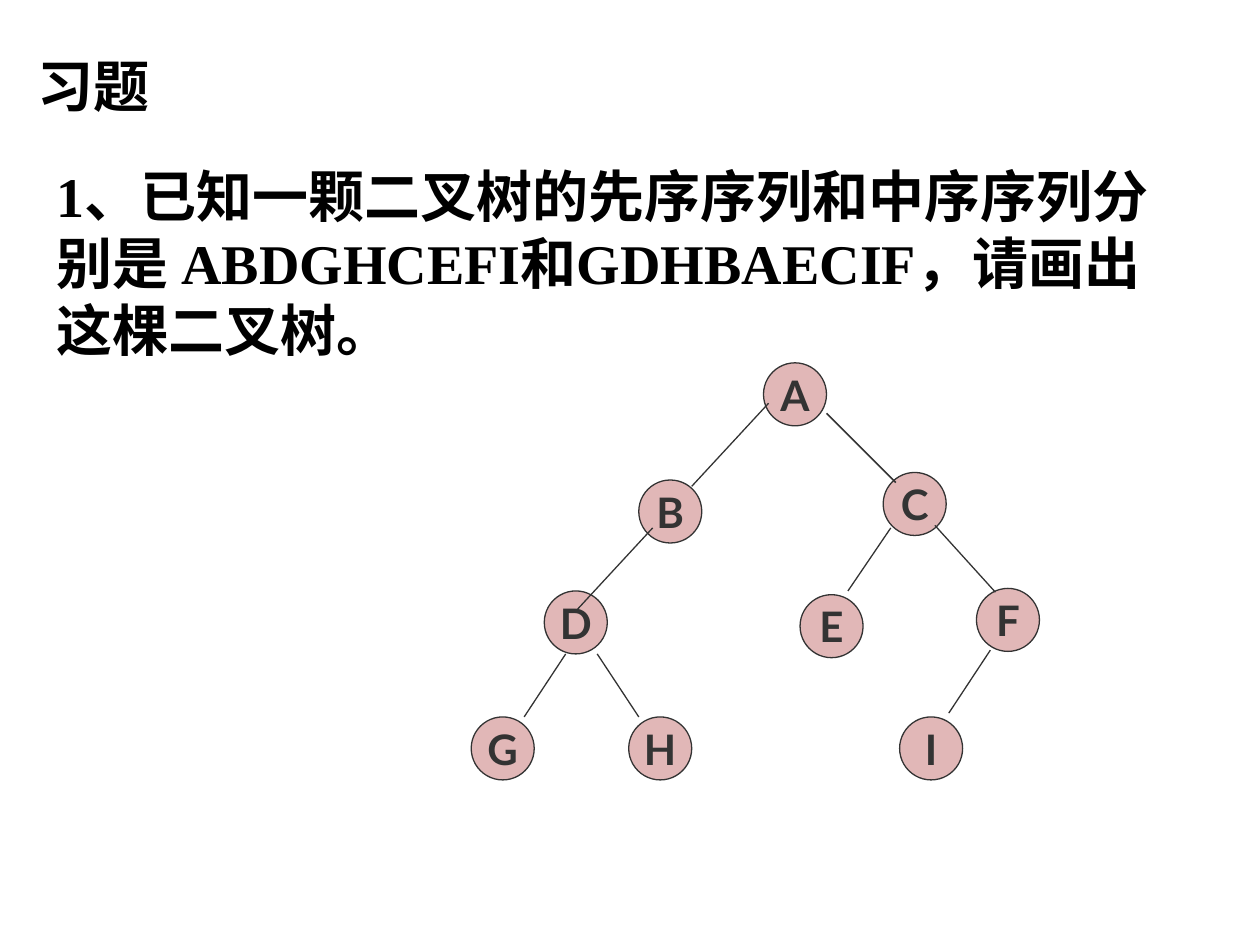
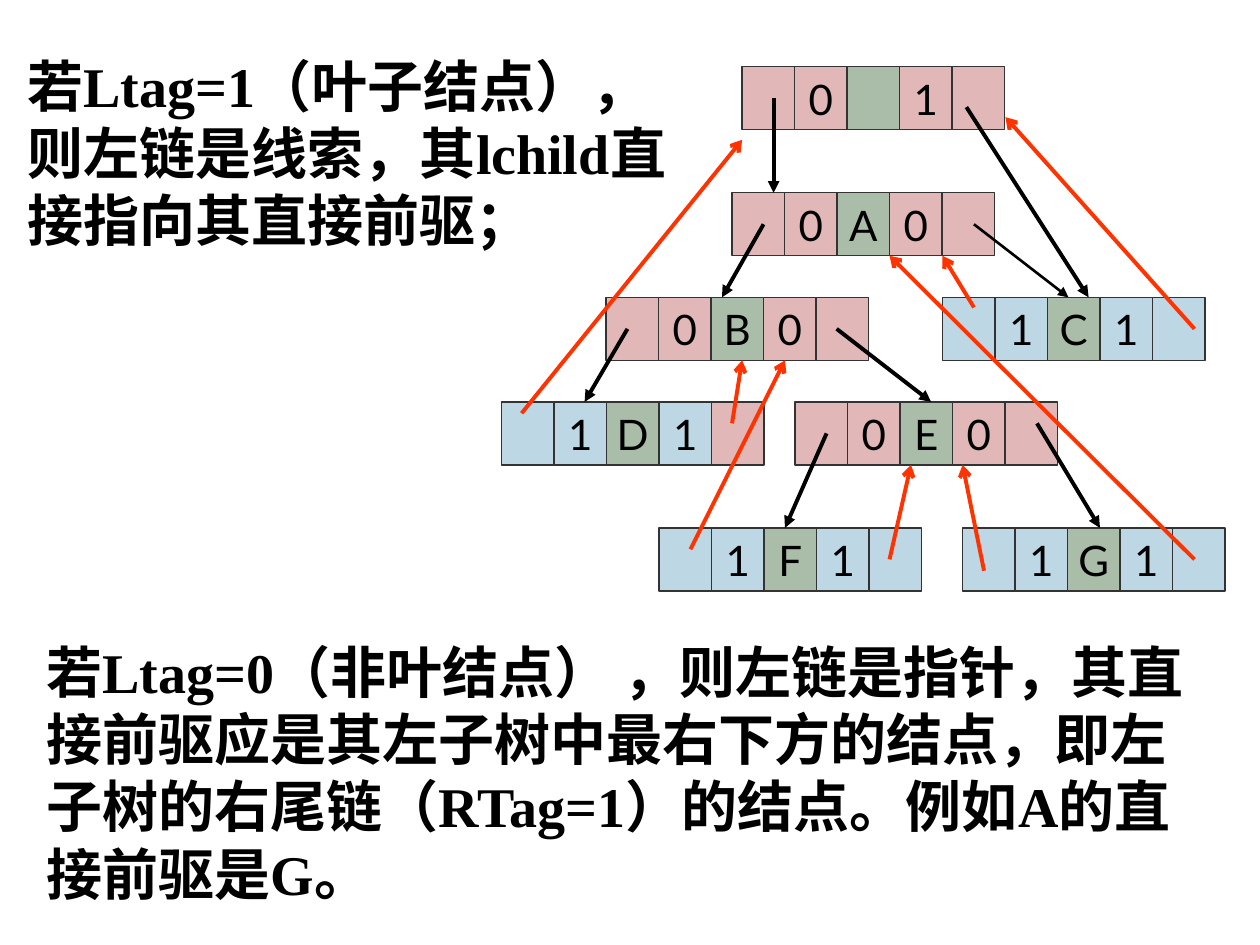
from lxml import etree
from pptx import Presentation
from pptx.dml.color import RGBColor
from pptx.enum.shapes import MSO_CONNECTOR, MSO_SHAPE
from pptx.enum.text import MSO_ANCHOR, PP_ALIGN
from pptx.oxml.ns import qn
from pptx.util import Inches, Pt

LINE = MSO_CONNECTOR.STRAIGHT
OVAL, RECT = MSO_SHAPE.OVAL, MSO_SHAPE.RECTANGLE
MIDDLE, CENTER = MSO_ANCHOR.MIDDLE, PP_ALIGN.CENTER

BLACK = RGBColor(0x00, 0x00, 0x00)
GRAY = RGBColor(0x33, 0x33, 0x33)
PINK = RGBColor(0xE1, 0xB7, 0xB7)
GREEN = RGBColor(0xA9, 0xBD, 0xA9)
BLUE = RGBColor(0xBD, 0xD7, 0xE5)
RED = RGBColor(0xFF, 0x33, 0x00)
SERIF, SANS = "Times New Roman", "Lato"

# Slide 1: left, top, width, height, words, wrap
TITLE = (0.2, 0.36, 1.09, 0.63, "习题", False)
TASK = (0.35, 1.23, 9.21, 1.72,
        "1、已知一颗二叉树的先序序列和中序序列分别是 ABDGHCEFI和GDHBAECIF，请画出这棵二叉树。", True)
DOT = 0.5
NODES = {  # name: left, top
    "A": (6.06, 2.88), "B": (5.07, 3.81), "C": (7.01, 3.75),
    "D": (4.32, 4.69), "E": (6.35, 4.72), "F": (7.75, 4.67),
    "G": (3.74, 5.69), "H": (4.99, 5.69), "I": (7.14, 5.69),
}
EDGES = [  # start x, y, end x, y, weight
    (6.1, 3.2, 5.49, 3.86, 0.75),
    (6.56, 3.28, 7.11, 3.83, 1),
    (5.18, 4.19, 4.57, 4.85, 0.75),
    (7.07, 4.19, 6.73, 4.69, 0.75),
    (7.42, 4.17, 7.9, 4.7, 0.75),
    (4.49, 5.19, 4.16, 5.69, 0.75),
    (4.74, 5.19, 5.07, 5.69, 0.75),
    (7.86, 5.16, 7.53, 5.66, 0.75),
]

# Slide 2
LEAF = (0.12, 0.36, 5.36, 1.7,
        "若Ltag=1（叶子结点），则左链是线索，其lchild直接指向其直接前驱；", True)
INNER = (0.27, 5.01, 9.53, 2.26,
         "若Ltag=0（非叶结点） ，则左链是指针，其直接前驱应是其左子树中最右下方的结点，"
         "即左子树的右尾链（RTag=1）的结点。例如A的直接前驱是G。", True)
CELL_W, CELL_H = 5 / 12, 0.5
RECORDS = [  # left, top, left tag, name, right tag, fill, fill of last cell
    (5.89, 0.53, "0", "", "1", PINK, PINK),
    (5.81, 1.53, "0", "A", "0", PINK, PINK),
    (4.81, 2.36, "0", "B", "0", PINK, PINK),
    (7.48, 2.36, "1", "C", "1", BLUE, BLUE),
    (3.98, 3.19, "1", "D", "1", BLUE, PINK),
    (6.31, 3.19, "0", "E", "0", PINK, PINK),
    (5.23, 4.19, "1", "F", "1", BLUE, BLUE),
    (7.64, 4.19, "1", "G", "1", BLUE, BLUE),
]
LINKS = [  # child pointers: start x, y, end x, y, weight
    (6.14, 0.78, 6.14, 1.53, 2.25),
    (7.67, 0.85, 8.64, 2.36, 2.25),
    (6.06, 1.78, 5.73, 2.36, 2.25),
    (7.73, 1.78, 8.48, 2.36, 1.5),
    (4.98, 2.61, 4.64, 3.19, 2.25),
    (6.64, 2.61, 7.39, 3.19, 2.25),
    (6.56, 3.44, 6.23, 4.19, 2.25),
    (8.23, 3.36, 8.73, 4.19, 2.25),
]
THREADS = [  # threads to neighbours in order: start x, y, end x, y, weight
    (4.14, 3.28, 5.89, 1.11, 2.25),
    (5.81, 3.36, 5.89, 2.86, 2.25),
    (5.48, 4.36, 6.23, 2.86, 2.25),
    (7.06, 4.44, 7.23, 3.69, 2.25),
    (7.81, 4.53, 7.64, 3.69, 2.25),
    (9.48, 4.44, 7.06, 2.03, 2.25),
    (7.73, 2.44, 7.48, 2.03, 2.25),
    (9.48, 2.61, 7.98, 0.93, 2.25),
]


def set_font(para, name, size, color, bold):
    font = para.font
    font.name, font.size, font.bold = name, Pt(size), bold
    font.color.rgb = color


def add_text(slide, left, top, width, height, words, wrap):
    box = slide.shapes.add_textbox(*map(Inches, (left, top, width, height)))
    frame = box.text_frame
    frame.word_wrap = wrap
    frame.text = words
    set_font(frame.paragraphs[0], SERIF, 32, BLACK, True)


def add_box(slide, kind, left, top, width, height, fill, words, color, bold):
    box = slide.shapes.add_shape(kind, *map(Inches, (left, top, width, height)))
    box.shadow.inherit = False
    box.fill.solid()
    box.fill.fore_color.rgb = fill
    box.line.color.rgb = GRAY
    box.line.width = Pt(0.75)
    if words:
        frame = box.text_frame
        frame.word_wrap = False
        frame.vertical_anchor = MIDDLE
        frame.text = words
        para = frame.paragraphs[0]
        para.alignment = CENTER
        set_font(para, SANS, 24, color, bold)


def add_lines(slide, lines, color, tip=None):
    for *ends, weight in lines:
        line = slide.shapes.add_connector(LINE, *map(Inches, ends))
        line.line.color.rgb = color
        line.line.width = Pt(weight)
        if tip:
            etree.SubElement(line.line._get_or_add_ln(), qn("a:tailEnd"), type=tip)
        etree.SubElement(line._element.spPr, qn("a:effectLst"))


def add_record(slide, left, top, ltag, name, rtag, fill, last):
    words = ["", ltag, name, rtag, ""]
    fills = [fill, fill, GREEN, fill, last]
    for i, (word, shade) in enumerate(zip(words, fills)):
        add_box(slide, RECT, left + i * CELL_W, top, CELL_W, CELL_H,
                shade, word, BLACK, False)


def main():
    deck = Presentation()
    deck.slide_width, deck.slide_height = Inches(10), Inches(7.5)
    blank = deck.slide_layouts[6]

    # Exercise: binary tree
    slide = deck.slides.add_slide(blank)
    add_text(slide, *TITLE)
    add_text(slide, *TASK)
    for name, (left, top) in NODES.items():
        add_box(slide, OVAL, left, top, DOT, DOT, PINK, name, GRAY, True)
    add_lines(slide, EDGES, GRAY)

    # Threaded tree
    slide = deck.slides.add_slide(blank)
    add_text(slide, *INNER)
    for record in RECORDS:
        add_record(slide, *record)
    add_lines(slide, LINKS, BLACK, "triangle")
    add_lines(slide, THREADS, RED, "arrow")
    add_text(slide, *LEAF)

    deck.save("out.pptx")


if __name__ == "__main__":
    main()
